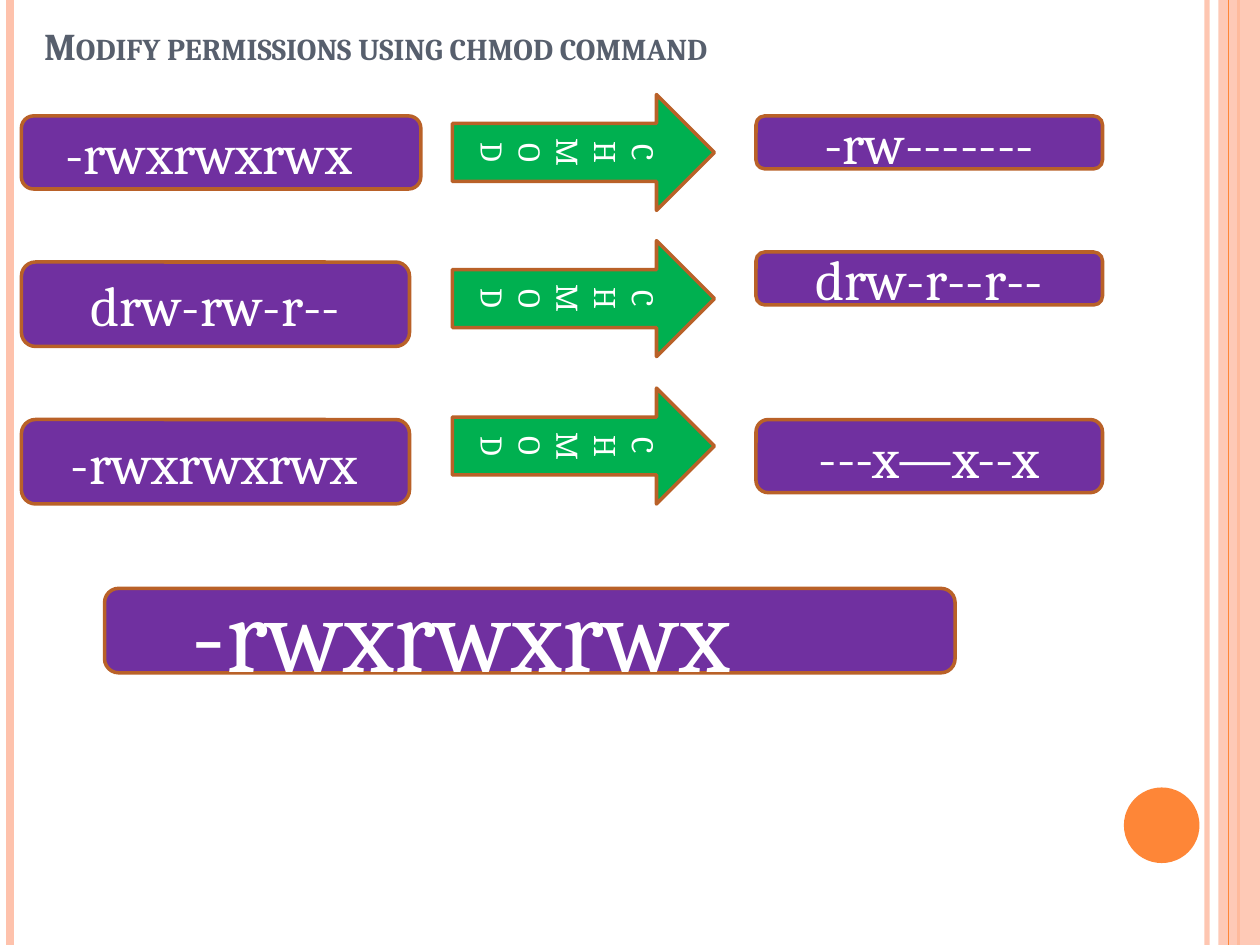
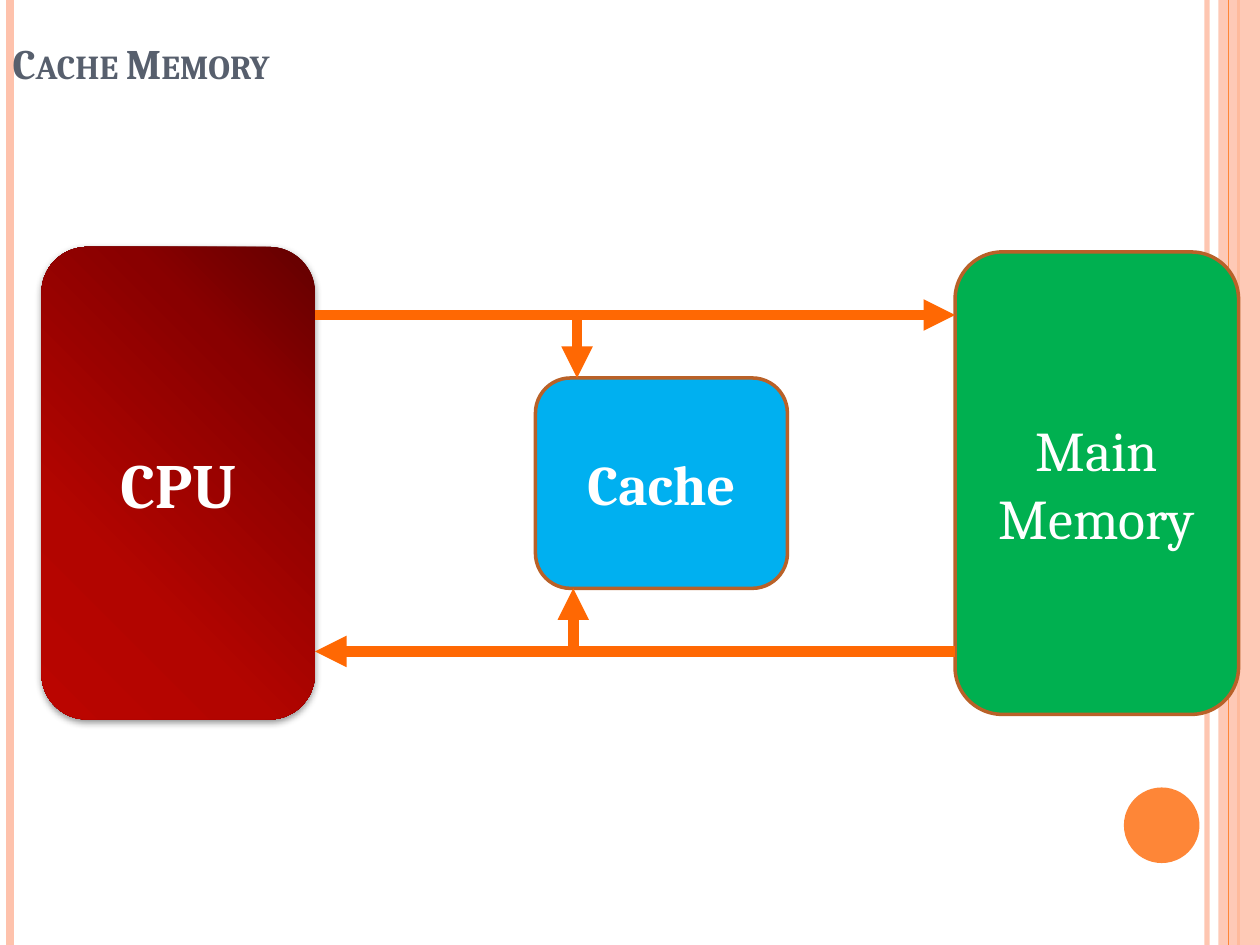
from dataclasses import dataclass
from typing import Any, NamedTuple, Optional

from lxml.etree import SubElement
from pptx import Presentation
from pptx.dml.color import RGBColor
from pptx.enum.shapes import MSO_CONNECTOR as Link, MSO_SHAPE as Kind
from pptx.enum.text import MSO_ANCHOR as Anchor, MSO_AUTO_SIZE as Fit, PP_ALIGN as Align
from pptx.oxml import parse_xml
from pptx.oxml.ns import nsdecls, qn
from pptx.util import Inches, Pt


@dataclass(frozen=True)
class Theme:
    font: str = "Cambria"
    title: str = "575F6D"
    white: str = "FFFFFF"
    peach: str = "FEC2AC"
    orange: str = "FE8637"
    edge: str = "B96128"
    purple: str = "7030A0"
    green: str = "00B050"
    blue: str = "00B0F0"
    flow: str = "FF6803"
    reds: tuple = ((0, "BA0500"), (30, "B20500"), (75, "890000"), (100, "630000"))
    small: float = 18
    text: float = 32
    large: float = 36
    huge: float = 60
    border: float = 2
    arrow: float = 6


THEME = Theme()


class Box(NamedTuple):
    label: str
    left: float
    top: float
    width: float
    height: float
    fill: Optional[str] = THEME.purple
    size: float = THEME.text
    bold: bool = False
    indent: Optional[float] = None  # None centres the label
    kind: Any = Kind.ROUNDED_RECTANGLE
    turn: float = 0
    edge: Optional[str] = THEME.edge


class Line(NamedTuple):
    start: tuple
    end: tuple
    color: str = THEME.flow
    width: float = THEME.arrow
    tip: bool = True
    alpha: int = 100


class Head(NamedTuple):
    text: str
    left: float
    top: float
    width: float
    height: float
    size: float
    indent: float = 0


BANDS = [
    Line((9.58, 0), (9.58, 7.5), THEME.peach, 3, False, 93),
    Line((0.08, 0), (0.08, 7.5), THEME.peach, 4.5, False),
    Line((9.83, 0), (9.83, 7.5), THEME.orange, 1.5, False),
    Box("", 9.67, 0, 0.33, 7.5, THEME.peach, kind=Kind.RECTANGLE, edge=None),
    Line((9.75, 0), (9.75, 7.5), THEME.orange, 0.75, False),
    Box("", 8.92, 6.25, 0.6, 0.6, THEME.orange, kind=Kind.OVAL, edge=None),
]
STRIP_ALPHA = 87

BEFORE = [
    Box("-rwxrwxrwx", 0.17, 0.92, 3.17, 0.58, indent=0.22),
    Box("drw-rw-r--", 0.17, 2.08, 3.08, 0.67),
    Box("-rwxrwxrwx", 0.17, 3.33, 3.08, 0.67, indent=0.26),
]
AFTER = [
    Box(label, 6, top, 2.75, height)
    for label, top, height in (
        ("-rw-------", 0.92, 0.42),
        ("drw-r--r--", 2, 0.42),
        ("---x—x--x", 3.33, 0.58),
    )
]
CHMOD = [
    Box("CHMOD", 4.17, top, 0.92, 2.08, THEME.green, THEME.small,
        kind=Kind.UP_ARROW, turn=90)
    for top in (0.17, 1.33, 2.5)
]
RESULT = Box("-rwxrwxrwx", 0.83, 4.67, 6.75, 0.67, size=THEME.huge, indent=0.56)

CPU = Box("CPU", 0.33, 1.96, 2.17, 3.75, None, THEME.large, True, edge=None)
CACHE = Box("Cache", 4.25, 3, 2, 1.67, THEME.blue, bold=True)
MEMORY = Box("Main Memory", 7.58, 2, 2.25, 3.67, THEME.green)
FLOWS = [
    Line((2.5, 2.5), (7.58, 2.5)),
    Line((4.58, 2.5), (4.58, 3)),
    Line((7.58, 5.17), (2.5, 5.17)),
    Line((4.55, 5.17), (4.55, 4.67)),
]


def rgb(code: str) -> RGBColor:
    return RGBColor.from_string(code)


def put(target: Any, values: dict) -> None:
    """Set each named attribute of the target."""
    for name, value in values.items():
        setattr(target, name, value)


def place(shape: Any, item: Any) -> None:
    put(shape, {name: Inches(getattr(item, name))
                for name in ("left", "top", "width", "height")})


def fade(shape: Any, alpha: int) -> None:
    """Make the first colour of the shape partly transparent."""
    color = shape.element.xpath("./p:spPr//a:srgbClr")[0]
    SubElement(color, qn("a:alpha"), val=str(alpha * 1000))


def write(shape: Any, text: str, color: str, size: float, bold: bool,
          indent: Optional[float], anchor: Any) -> Any:
    """Fill the text frame and return its run."""
    frame = shape.text_frame
    put(frame, {
        "word_wrap": True, "auto_size": Fit.NONE, "vertical_anchor": anchor,
        "margin_left": Inches(0.1 + (indent or 0)), "margin_right": Inches(0.1),
        "margin_top": Inches(0.05), "margin_bottom": Inches(0.05),
    })
    para = frame.paragraphs[0]
    para.alignment = Align.CENTER if indent is None else Align.LEFT
    run = para.add_run()
    run.text = text
    put(run.font, {"name": THEME.font, "size": Pt(size), "bold": bold})
    run.font.color.rgb = rgb(color)
    return run


def draw_box(slide: Any, box: Box) -> Any:
    shape = slide.shapes.add_shape(box.kind, 0, 0, 0, 0)
    place(shape, box)
    shape.rotation = box.turn
    shape.shadow.inherit = False
    if box.fill:
        shape.fill.solid()
        shape.fill.fore_color.rgb = rgb(box.fill)
    else:
        shape.fill.background()
    if box.edge:
        shape.line.color.rgb = rgb(box.edge)
        shape.line.width = Pt(THEME.border)
    else:
        shape.line.fill.background()
    if box.label:
        write(shape, box.label, THEME.white, box.size, box.bold, box.indent,
              Anchor.MIDDLE)
    return shape


def draw_line(slide: Any, line: Line) -> Any:
    ends = [Inches(value) for value in line.start + line.end]
    shape = slide.shapes.add_connector(Link.STRAIGHT, *ends)
    shape.line.color.rgb = rgb(line.color)
    shape.line.width = Pt(line.width)
    props = shape.element.spPr
    if line.tip:
        SubElement(props.find(qn("a:ln")), qn("a:tailEnd"), type="triangle")
    SubElement(props, qn("a:effectLst"))
    if line.alpha < 100:
        fade(shape, line.alpha)
    return shape


def shade(shape: Any) -> None:
    """Give the shape a red radial gradient and a soft shadow."""
    stops = "".join(
        f'<a:gs pos="{pos * 1000}"><a:srgbClr val="{color}"/></a:gs>'
        for pos, color in THEME.reds
    )
    grad = parse_xml(
        f'<a:gradFill {nsdecls("a")} rotWithShape="1"><a:gsLst>{stops}</a:gsLst>'
        '<a:path path="circle"><a:fillToRect l="0" t="100000" r="100000" b="0"/>'
        '</a:path></a:gradFill>'
    )
    props = shape.element.spPr
    props.replace(props.find(qn("a:noFill")), grad)
    cast = SubElement(props.find(qn("a:effectLst")), qn("a:outerShdw"),
                      blurRad=str(Pt(4)), dist=str(Pt(1.6)), dir="5400000",
                      rotWithShape="0")
    tint = SubElement(cast, qn("a:srgbClr"), val="000000")
    SubElement(tint, qn("a:alpha"), val="42000")


def add_bands(deck: Any, slide: Any) -> None:
    """Draw the bands, then move them to the back of the slide master."""
    tree = deck.slide_master.shapes.element
    for spot, item in enumerate(BANDS):
        if isinstance(item, Line):
            shape = draw_line(slide, item)
        else:
            shape = draw_box(slide, item)
            if item.kind == Kind.RECTANGLE:
                fade(shape, STRIP_ALPHA)
        shape.element.xpath(".//p:cNvPr")[0].set("id", str(100 + spot))
        tree.insert(2 + spot, shape.element)


def add_slide(deck: Any, head: Head) -> Any:
    slide = deck.slides.add_slide(deck.slide_layouts.get_by_name("Title Only"))
    title = slide.shapes.title
    place(title, head)
    run = write(title, head.text, THEME.title, head.size, True, head.indent,
                Anchor.BOTTOM)
    run.font.element.set("cap", "small") if hasattr(run.font, "element") else \
        title.element.xpath(".//a:rPr")[0].set("cap", "small")
    return slide


def main() -> None:
    deck = Presentation()
    put(deck, {"slide_width": Inches(10), "slide_height": Inches(7.5)})

    modes = add_slide(deck, Head("Modify permissions using chmod command",
                                 0.17, 0.17, 9.67, 0.42, 21.6, 0.08))
    add_bands(deck, modes)
    for box in (*BEFORE, *AFTER, *CHMOD, RESULT):
        draw_box(modes, box)

    cache = add_slide(deck, Head("Cache Memory", 0, 0, 10, 0.75, 24))
    shade(draw_box(cache, CPU))
    for box in (CACHE, MEMORY):
        draw_box(cache, box)
    for line in FLOWS:
        draw_line(cache, line)

    deck.save("out.pptx")


if __name__ == "__main__":
    main()
